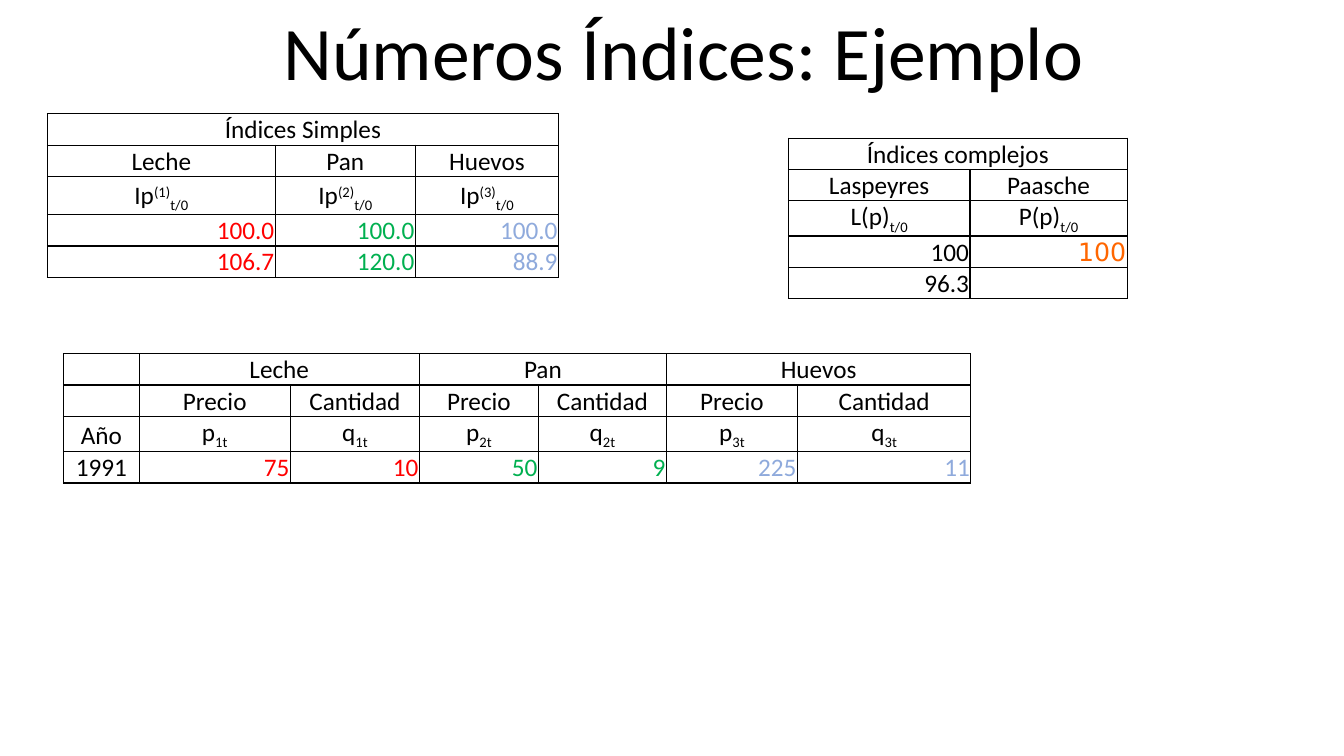
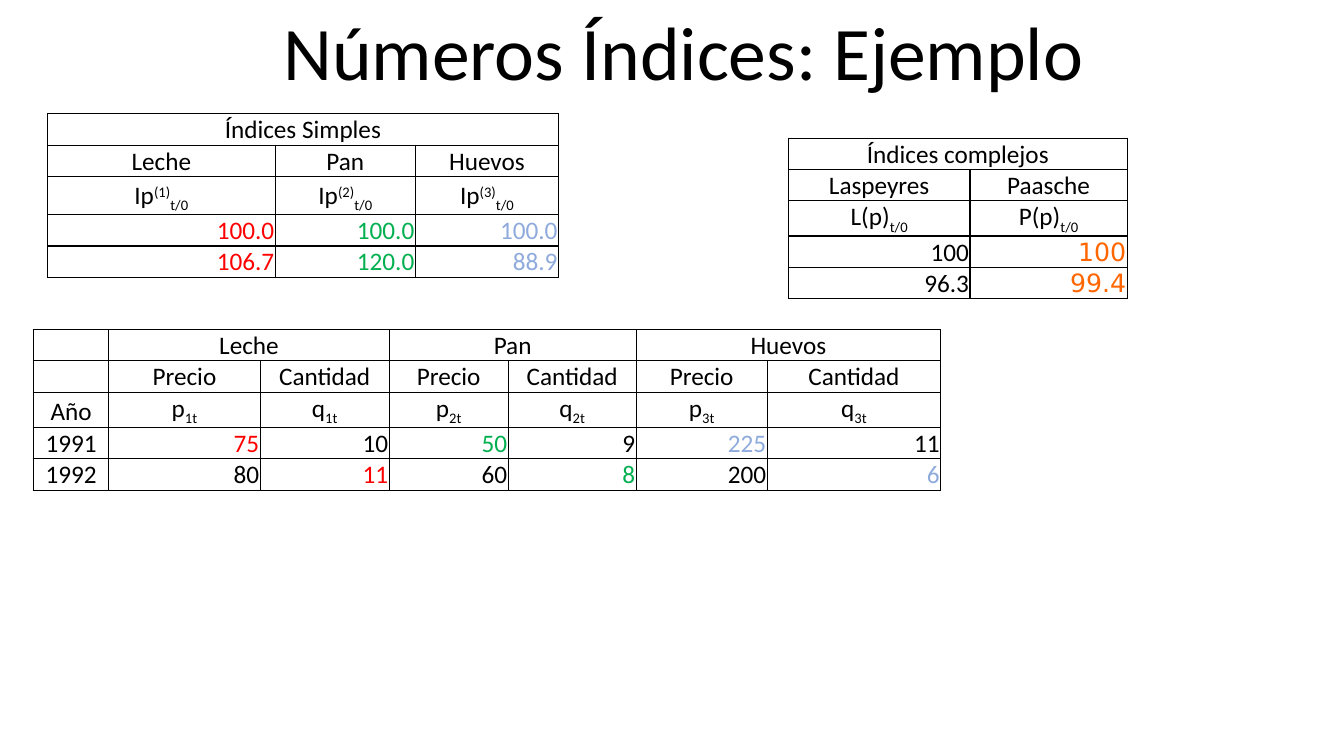
"""Build two slides that work through simple and complex price index numbers."""
import lxml.etree
import pptx
import pptx.dml.color
import pptx.enum.text
import pptx.oxml.ns
import pptx.util

TITLE = "Números Índices: Ejemplo"
STYLES = {
    "plain": ("Calibri", "000000"),
    "milk": ("Calibri", "FF0000"),
    "bread": ("Calibri", "00B050"),
    "eggs": ("Calibri", "8FAADC"),
    "paasche": ("DejaVu Sans", "FF6600"),
}
PRODUCTS = ["milk", "bread", "eggs"]
PRODUCT_NAMES = ["Leche", "Pan", "Huevos"]
BODY_SIZE = 18
TITLE_SIZE = 54
ROW_HEIGHT = 0.31
SUPERSCRIPT, SUBSCRIPT = 30000, -25000
NOTATION_ROW = 2

SIMPLE_COLUMNS = [2.26, 1.39, 1.42]
COMPLEX_COLUMNS = [1.8, 1.56]
DATA_COLUMNS = [0.75, 1.5, 1.28, 1.18, 1.27, 1.3, 1.72]

# A string is a centred heading, a list holds notation runs, a tuple is a styled value.
SIMPLE_ROWS = [
    ["Índices Simples", None, None],
    PRODUCT_NAMES,
    [[("Ip", 0), (f"({number})", SUPERSCRIPT), ("t/0", SUBSCRIPT)] for number in (1, 2, 3)],
    list(zip(["100.0", "100.0", "100.0"], PRODUCTS)),
    list(zip(["106.7", "120.0", "88.9"], PRODUCTS)),
]
COMPLEX_ROWS = [
    ["Índices complejos", None],
    ["Laspeyres", "Paasche"],
    [[(name, 0), ("t/0", SUBSCRIPT)] for name in ("L(p)", "P(p)")],
    [("100", "plain"), ("100", "paasche")],
]
DATA_HEADINGS = [
    [""] + [cell for name in PRODUCT_NAMES for cell in (name, None)],
    [""] + ["Precio", "Cantidad"] * 3,
    ["Año"] + [[(letter, 0), (f"{number}t", SUBSCRIPT)]
               for number in (1, 2, 3) for letter in "pq"],
]
VALUES = {
    "1991": ["75", "10", "50", "9", "225", "11"],
    "1992": ["80", "11", "60", "8", "200", "6"],
}
SLIDES = [
    {"paasche": "", "data_at": (0.63, 3.51),
     "years": [("1991", "price quantity")]},
    {"paasche": ("99.4", "paasche"), "data_at": (0.33, 3.27),
     "years": [("1991", "price"), ("1992", "quantity")]},
]


def color(value):
    """Return an RGB colour from a hex string."""
    return pptx.dml.color.RGBColor.from_string(value)


def set_font(font, size, style="plain"):
    """Apply a named style and a size to a font."""
    font.name, hex_color = STYLES[style]
    font.size = pptx.util.Pt(size)
    font.color.rgb = color(hex_color)


def year_row(year, highlighted):
    """Return the row of a year with the highlighted kinds in product colours."""
    row = [year]
    for index, value in enumerate(VALUES[year]):
        kind = ("price", "quantity")[index % 2]
        row.append((value, PRODUCTS[index // 2] if kind in highlighted else "plain"))
    return row


def add_borders(cell):
    """Draw a thin black line on each side of a cell."""
    properties = cell._tc.get_or_add_tcPr()
    for position, side in enumerate(("a:lnL", "a:lnR", "a:lnT", "a:lnB")):
        line = lxml.etree.Element(pptx.oxml.ns.qn(side), w=str(pptx.util.Pt(1)))
        fill = lxml.etree.SubElement(line, pptx.oxml.ns.qn("a:solidFill"))
        lxml.etree.SubElement(fill, pptx.oxml.ns.qn("a:srgbClr"), val="000000")
        properties.insert(position, line)


def fill_cell(cell, content):
    """Format a cell and write its heading, notation or value."""
    cell.margin_left = cell.margin_right = cell.margin_top = pptx.util.Inches(0.01)
    cell.margin_bottom = 0
    cell.vertical_anchor = pptx.enum.text.MSO_ANCHOR.BOTTOM
    cell.fill.background()
    add_borders(cell)
    paragraph = cell.text_frame.paragraphs[0]
    paragraph.alignment = pptx.enum.text.PP_ALIGN.CENTER
    style = "plain"
    if isinstance(content, tuple):
        content, style = content
        paragraph.alignment = pptx.enum.text.PP_ALIGN.RIGHT
    set_font(paragraph.font, BODY_SIZE, style)
    runs = content if isinstance(content, list) else [(content, 0)]
    for text, baseline in runs:
        if text:
            run = paragraph.add_run()
            run.text = text
            if baseline:
                run.font._element.set("baseline", str(baseline))


def add_grid(slide, position, columns, rows, notation_height=0.35):
    """Add a bordered table, joining each None cell to the cell on its left."""
    heights = [notation_height if index == NOTATION_ROW else ROW_HEIGHT
               for index in range(len(rows))]
    frame = [pptx.util.Inches(length) for length in (*position, sum(columns), sum(heights))]
    table = slide.shapes.add_table(len(rows), len(columns), *frame).table
    table.first_row = table.horz_banding = False
    for column, width in zip(table.columns, columns):
        column.width = pptx.util.Inches(width)
    for row_index, row in enumerate(rows):
        table.rows[row_index].height = pptx.util.Inches(heights[row_index])
        for column_index, content in enumerate(row):
            fill_cell(table.cell(row_index, column_index), content)
        starts = [index for index, content in enumerate(row) if content is not None]
        for start, end in zip(starts, starts[1:] + [len(row)]):
            if end - start > 1:
                table.cell(row_index, start).merge(table.cell(row_index, end - 1))


def add_title(slide):
    """Add the shared slide title."""
    frame = [pptx.util.Inches(length) for length in (2.67, 0, 8.22, 1.01)]
    text_frame = slide.shapes.add_textbox(*frame).text_frame
    text_frame.word_wrap = False
    paragraph = text_frame.paragraphs[0]
    paragraph.text = TITLE
    paragraph.alignment = pptx.enum.text.PP_ALIGN.CENTER
    set_font(paragraph.font, TITLE_SIZE)


def main():
    """Build and save the presentation."""
    presentation = pptx.Presentation()
    presentation.slide_width = pptx.util.Inches(13.33)
    presentation.slide_height = pptx.util.Inches(7.5)
    for content in SLIDES:
        slide = presentation.slides.add_slide(presentation.slide_layouts[6])
        add_title(slide)
        add_grid(slide, (0.47, 1.13), SIMPLE_COLUMNS, SIMPLE_ROWS, 0.38)
        last_row = [("96.3", "plain"), content["paasche"]]
        add_grid(slide, (7.82, 1.37), COMPLEX_COLUMNS, COMPLEX_ROWS + [last_row])
        years = [year_row(*year) for year in content["years"]]
        add_grid(slide, content["data_at"], DATA_COLUMNS, DATA_HEADINGS + years)
    presentation.save("out.pptx")


if __name__ == "__main__":
    main()
